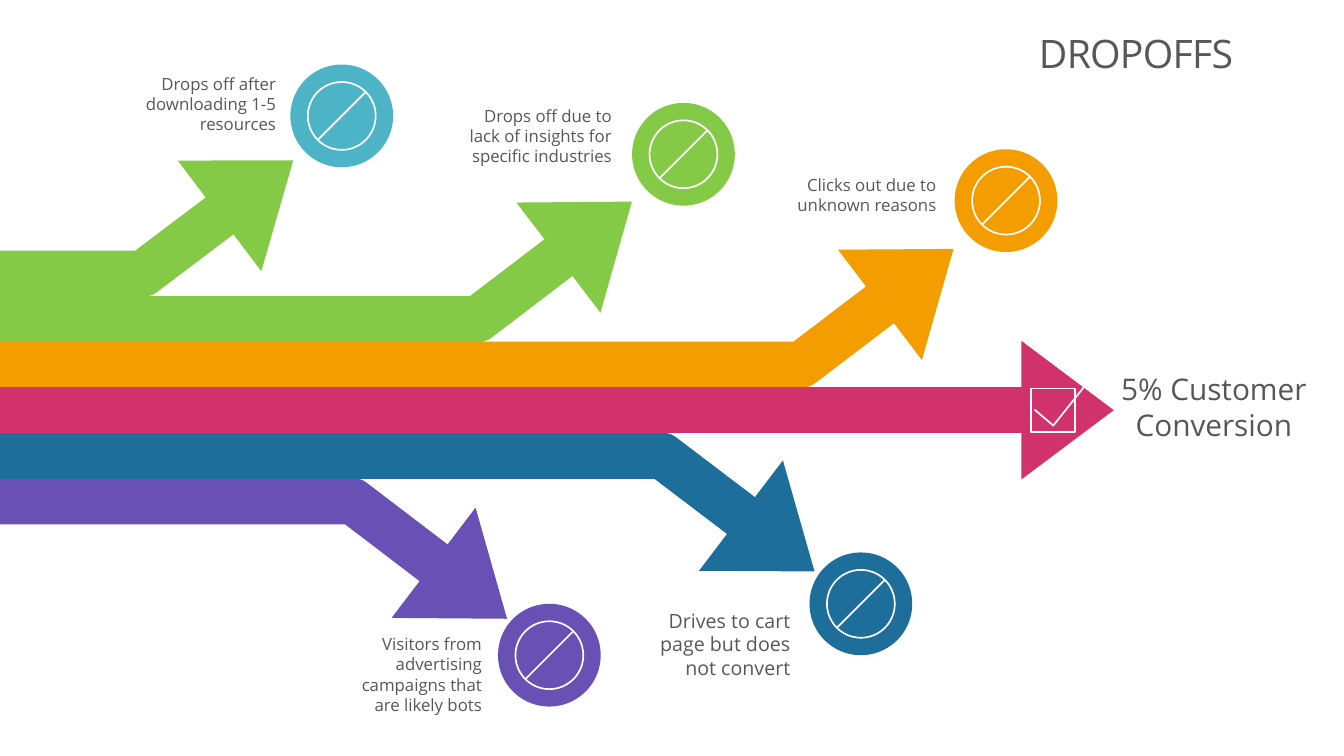
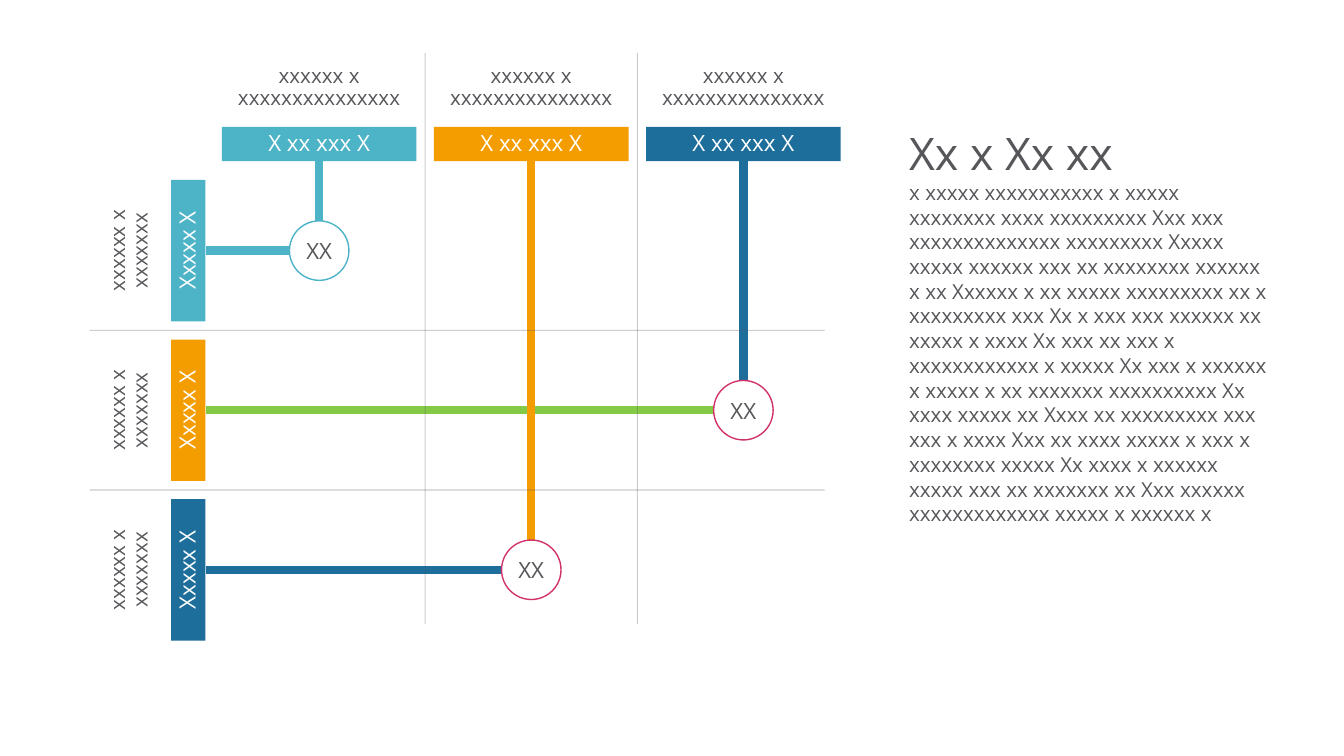
from math import sqrt

from lxml import etree
from pptx import Presentation
from pptx.dml.color import RGBColor
from pptx.enum.shapes import MSO_CONNECTOR, MSO_SHAPE
from pptx.enum.text import MSO_ANCHOR as ANCHOR, MSO_AUTO_SIZE, PP_ALIGN as ALIGN
from pptx.oxml import parse_xml
from pptx.oxml.ns import nsdecls, qn
from pptx.util import Pt

FONT = "Open Sans"
COLORS = {
    "text": "57565A", "white": "FFFFFF", "cyan": "4DB3C7", "green": "85CA46",
    "orange": "F49D00", "pink": "D2326B", "blue": "1D6E9B", "purple": "6850B4",
}

# Slide 1: lanes stack around the conversion lane
LANE_MID, LANE_STEP, LANE_WIDTH = 293, 32.5, 33
DISC, SIGN = 73.4, 48.5
# lane, bend x, arrow tip, lane colour, disc colour, disc centre, label, label box, size
DROPOFFS = [
    (-2, 341.3, (451.4, 144), "green", "green", (488.2, 110.2),
     "Drops off due to lack of insights for specific industries", (316, 72, 128.2, 51), 12),
    (-1, 572.4, (681.1, 177.8), "orange", "orange", (718.6, 143.3),
     "Clicks out due to unknown reasons", (550.8, 121, 125.3, 36), 12),
    (2, 252, (362.2, 442), "purple", "purple", (392.4, 468),
     "Visitors from advertising campaigns that are likely bots", (250.6, 449.3, 100.8, 65.5), 12),
    (1, 473, (581.8, 408.2), "blue", "blue", (614.9, 431.3),
     "Drives to cart page but does not convert", (457.2, 431.3, 114.5, 58.3), 14),
    (-3, 102.2, (209.5, 114.5), "green", "cyan", (244.1, 82.8),
     "Drops off after downloading 1-5 resources", (48.2, 49, 156.2, 51), 12),
]

# Slide 2: a grid of three columns and three rows
COLUMN_X, COLUMN_STEP, COLUMN_WIDTH = 228, 151.5, 139
ROW_Y, ROW_STEP, ROW_WIDTH = 179, 114, 101
BAR, BAR_TOP, ROW_BAR_X, ROW_LABEL_X, LABEL = 24.5, 90.7, 134.6, 93, 39.6
NODE = 42.5
GRID_COLORS = ["cyan", "orange", "blue"]
# column, row, colour of the horizontal link, colour of the ring
NODES = [(0, 0, "cyan", "cyan"), (2, 1, "green", "pink"), (1, 2, "blue", "pink")]
BODY = (
    "x xxxxx xxxxxxxxxxx x xxxxx xxxxxxxx xxxx xxxxxxxxx Xxx xxx xxxxxxxxxxxxxx "
    "xxxxxxxxx Xxxxx xxxxx xxxxxx xxx xx xxxxxxxx xxxxxx x xx Xxxxxx x xx xxxxx "
    "xxxxxxxxx xx x xxxxxxxxx xxx Xx x xxx xxx xxxxxx xx xxxxx x xxxx Xx xxx xx "
    "xxx x xxxxxxxxxxxx x xxxxx Xx xxx x xxxxxx x xxxxx x xx xxxxxxx xxxxxxxxxx "
    "Xx xxxx xxxxx xx Xxxx xx xxxxxxxxx xxx xxx x xxxx Xxx xx xxxx xxxxx x xxx x "
    "xxxxxxxx xxxxx Xx xxxx x xxxxxx xxxxx xxx xx xxxxxxx xx Xxx xxxxxx "
    "xxxxxxxxxxxxx xxxxx x xxxxxx x"
)


def rgb(color):
    return RGBColor.from_string(COLORS[color])


def points(*lengths):
    return [Pt(length) for length in lengths]


def centered(x, y, width, height):
    """Box (left, top, width, height) around a centre."""
    return x - width / 2, y - height / 2, width, height


def write(shape, text, size, color="text", align=ALIGN.CENTER, spacing=1.0,
          anchor=ANCHOR.TOP, wrap=True):
    frame = shape.text_frame
    frame.auto_size = MSO_AUTO_SIZE.NONE
    frame.word_wrap = wrap
    frame.vertical_anchor = anchor
    para = frame.paragraphs[0]
    para.alignment = align
    para.line_spacing = spacing
    para.space_before = Pt(0)
    span = para.add_run()
    span.text = text
    span.font.name = FONT
    span.font.size = Pt(size)
    span.font.color.rgb = rgb(color)
    return span


def add_text(page, box, text, size, rotation=0, **style):
    shape = page.shapes.add_textbox(*points(*box))
    shape.rotation = rotation
    write(shape, text, size, **style)


def fill_placeholder(shape, box, text, size, **style):
    shape.left, shape.top, shape.width, shape.height = points(*box)
    return write(shape, text, size, **style)


def paint(shape, fill=None, line=None, width=1):
    shape.shadow.inherit = False
    if fill:
        shape.fill.solid()
        shape.fill.fore_color.rgb = rgb(fill)
    else:
        shape.fill.background()
    if line:
        shape.line.color.rgb = rgb(line)
        shape.line.width = Pt(width)
    else:
        shape.line.fill.background()


def add_shape(page, kind, box, **colors):
    shape = page.shapes.add_shape(kind, *points(*box))
    paint(shape, **colors)
    return shape


def add_line(page, start, end, color, width, opacity=None):
    line = page.shapes.add_connector(MSO_CONNECTOR.STRAIGHT, *points(*start, *end))
    line.line.color.rgb = rgb(color)
    line.line.width = Pt(width)
    if opacity:
        tint = line.line._get_or_add_ln().find(".//" + qn("a:srgbClr"))
        etree.SubElement(tint, qn("a:alpha")).set("val", str(opacity * 1000))
    etree.SubElement(line._element.spPr, qn("a:effectLst"))
    return line


def add_path(page, vertices, color, width):
    """Open outline through the vertices, without fill."""
    first, *rest = [tuple(points(*vertex)) for vertex in vertices]
    builder = page.shapes.build_freeform(*first, scale=1.0)
    builder.add_line_segments(rest, close=False)
    shape = builder.convert_to_shape()
    paint(shape, line=color, width=width)
    return shape


def add_arrowhead(shape):
    outline = shape.line._get_or_add_ln()
    outline.append(parse_xml(f'<a:round {nsdecls("a")}/>'))
    outline.append(parse_xml(f'<a:tailEnd {nsdecls("a")} type="triangle" w="med" len="sm"/>'))


def add_stop_disc(page, x, y, color):
    add_shape(page, MSO_SHAPE.OVAL, centered(x, y, DISC, DISC), fill=color)
    add_shape(page, MSO_SHAPE.OVAL, centered(x, y, SIGN, SIGN), line="white", width=1.2)
    reach = SIGN / 2 / sqrt(2)
    add_line(page, (x - reach, y + reach), (x + reach, y - reach), "white", 1.2)


def add_checkbox(page):
    add_shape(page, MSO_SHAPE.RECTANGLE, (736.5, 277.5, 31.2, 31), line="white", width=1.2)
    add_path(page, [(739, 292.6), (752.4, 304), (777, 273)], "white", 1.2)


def add_title(page, box, text, size, align, spacing=1.0):
    return fill_placeholder(page.shapes.title, box, text, size, align=align, spacing=spacing)


def build_dropoffs(deck):
    page = deck.slides.add_slide(deck.slide_layouts[5])
    title = add_title(page, (72, 22.3, 816, 64), "DROPOFFS", 28, ALIGN.RIGHT, 0.86)
    title.font._element.set("spc", "-50")
    for lane, bend, tip, color, *_ in DROPOFFS:
        y = LANE_MID + lane * LANE_STEP
        add_arrowhead(add_path(page, [(0, y), (bend, y), tip], color, LANE_WIDTH))
    add_arrowhead(add_line(page, (0, LANE_MID), (795.6, LANE_MID), "pink", LANE_WIDTH))
    for *_, color, center, label, box, size in DROPOFFS:
        add_text(page, box, label, size, align=ALIGN.RIGHT)
        add_stop_disc(page, *center, color)
    add_text(page, (789, 261.4, 156.2, 59), "5% Customer Conversion", 21.3)
    add_checkbox(page)


def add_bar(page, box, text, color, rotation=0):
    bar = add_shape(page, MSO_SHAPE.RECTANGLE, box, fill=color)
    bar.rotation = rotation
    write(bar, text, 16, color="white", spacing=0.9, anchor=ANCHOR.MIDDLE)


def add_headers(page, columns, rows):
    for x, y, color in zip(columns, rows, GRID_COLORS):
        left = x - COLUMN_WIDTH / 2
        add_text(page, (left, 43.2, COLUMN_WIDTH, LABEL), "xxxxxx x xxxxxxxxxxxxxxx",
                 14.7, spacing=0.9)
        add_bar(page, (left, BAR_TOP, COLUMN_WIDTH, BAR), "X xx xxx X", color)
        add_text(page, centered(ROW_LABEL_X, y, ROW_WIDTH, LABEL), "xxxxxx x xxxxxxx",
                 14.7, rotation=270, spacing=0.9)
        add_bar(page, centered(ROW_BAR_X, y, ROW_WIDTH, BAR), "Xxxxx X", color, rotation=270)


def add_node(page, x, y, column_color, row_color, ring):
    add_line(page, (x, BAR_TOP + BAR), (x, y - NODE / 2), column_color, 6)
    add_line(page, (ROW_BAR_X + BAR / 2, y), (x - NODE / 2, y), row_color, 6)
    node = add_shape(page, MSO_SHAPE.OVAL, centered(x, y, NODE, NODE), fill="white", line=ring)
    write(node, "XX", 16, anchor=ANCHOR.MIDDLE, wrap=False)


def build_grid(deck):
    page = deck.slides.add_slide(deck.slide_layouts[1])
    add_title(page, (642.2, 86.4, 272.2, 38.4), "Xx x Xx xx", 32, ALIGN.LEFT)
    body = page.placeholders[1]
    properties = body.text_frame.paragraphs[0]._p.get_or_add_pPr()
    properties.set("marL", "0")
    properties.set("indent", "0")
    etree.SubElement(properties, qn("a:buNone"))
    fill_placeholder(body, (642.2, 124.8, 272.2, 255), BODY, 14.7, align=ALIGN.LEFT)

    columns = [COLUMN_X + COLUMN_STEP * index for index in range(3)]
    rows = [ROW_Y + ROW_STEP * index for index in range(3)]
    add_headers(page, columns, rows)
    for column, row, row_color, ring in NODES:
        add_node(page, columns[column], rows[row], GRID_COLORS[column], row_color, ring)
    for x, y in zip(columns[:2], rows[:2]):
        middle_x, middle_y = x + COLUMN_STEP / 2, y + ROW_STEP / 2
        add_line(page, (64, middle_y), (589, middle_y), "text", 0.75, opacity=30)
        add_line(page, (middle_x, 38), (middle_x, 445.7), "text", 0.75, opacity=30)


def main():
    deck = Presentation()
    deck.slide_width, deck.slide_height = points(960, 540)
    build_dropoffs(deck)
    build_grid(deck)
    deck.save("out.pptx")


if __name__ == "__main__":
    main()
